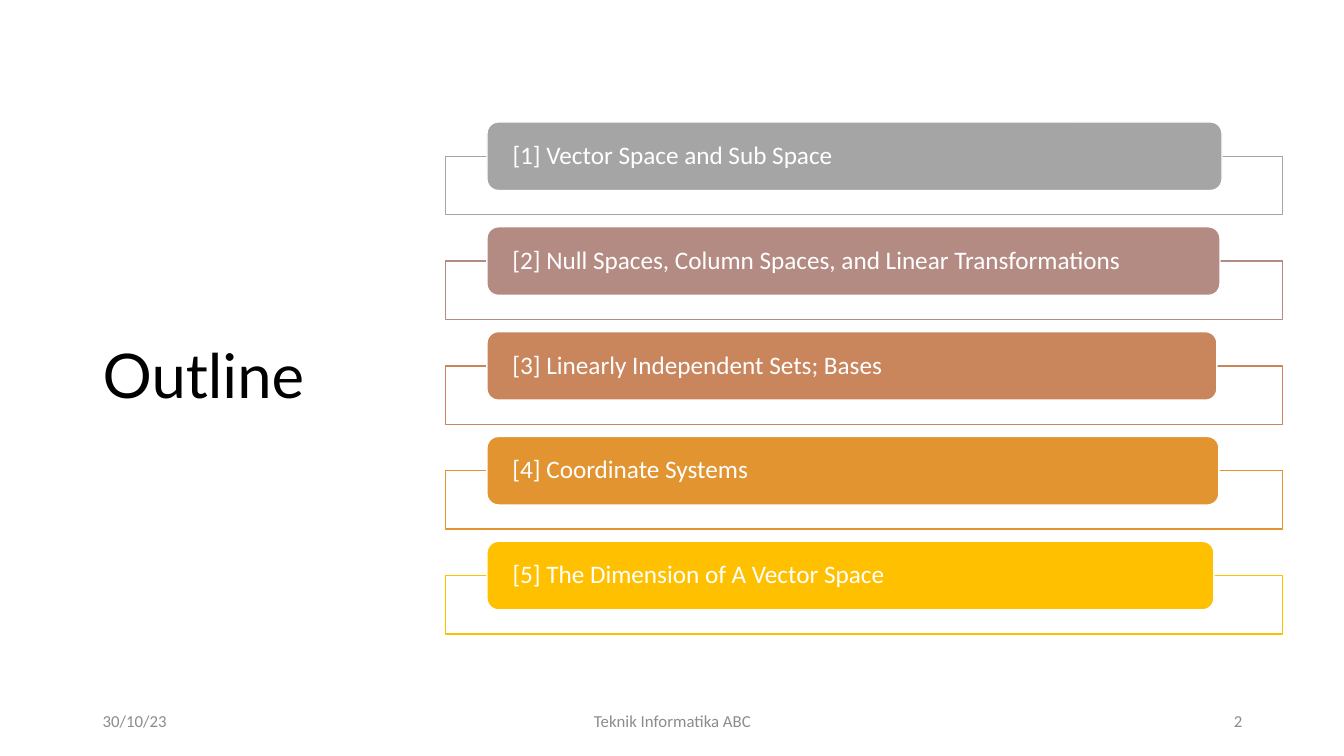
from lxml.etree import SubElement
from pptx import Presentation
from pptx.dml.color import RGBColor
from pptx.enum.shapes import MSO_SHAPE
from pptx.enum.text import MSO_ANCHOR, PP_ALIGN
from pptx.oxml.ns import qn
from pptx.util import Inches, Pt

BLACK = RGBColor(0x00, 0x00, 0x00)
WHITE = RGBColor(0xFF, 0xFF, 0xFF)
FOOTER_GRAY = RGBColor(0x8C, 0x8C, 0x8C)
GRAY = RGBColor(0xA5, 0xA5, 0xA5)
ROSE = RGBColor(0xB4, 0x8B, 0x83)
COPPER = RGBColor(0xC9, 0x85, 0x5C)
ORANGE = RGBColor(0xE1, 0x94, 0x30)
GOLD = RGBColor(0xFF, 0xC0, 0x00)

# Topic, colour and label width in inches
TOPICS = [
    ("[1] Vector Space and Sub Space", GRAY, 7.29),
    ("[2] Null Spaces, Column Spaces, and Linear Transformations", ROSE, 7.27),
    ("[3] Linearly Independent Sets; Bases", COPPER, 7.24),
    ("[4] Coordinate Systems", ORANGE, 7.26),
    ("[5] The Dimension of A Vector Space", GOLD, 7.21),
]
FIRST_TOP = 1.21
TOPIC_STEP = 1.04

# Footer text, left, width, alignment
FOOTERS = [
    ("30/10/23", 0.92, 3, PP_ALIGN.LEFT),
    ("Teknik Informatika ABC", 4.42, 4.5, PP_ALIGN.CENTER),
    ("2", 9.42, 3, PP_ALIGN.RIGHT),
]


def write_text(frame, text, size, color, font="Calibri", align=PP_ALIGN.LEFT,
               line_spacing=None, side_inset=0.1, end_inset=0.05):
    """Fill a text frame with one formatted paragraph."""
    frame.word_wrap = True
    frame.vertical_anchor = MSO_ANCHOR.MIDDLE
    frame.margin_left = frame.margin_right = Inches(side_inset)
    frame.margin_top = frame.margin_bottom = Inches(end_inset)
    paragraph = frame.paragraphs[0]
    paragraph.alignment = align
    paragraph.line_spacing = line_spacing
    run = paragraph.add_run()
    run.text = text
    run.font.size = Pt(size)
    run.font.name = font
    run.font.color.rgb = color


class OutlineSlide:
    """Holds the slide and the style shared by its elements."""

    line_width = Pt(1)

    def __init__(self, presentation):
        self.slide = presentation.slides.add_slide(presentation.slide_layouts[6])

    def text(self, box, text, **style):
        textbox = self.slide.shapes.add_textbox(*map(Inches, box))
        write_text(textbox.text_frame, text, **style)

    def shape(self, kind, box, fill, line, opacity=None):
        shape = self.slide.shapes.add_shape(kind, *map(Inches, box))
        shape.shadow.inherit = False
        shape.fill.solid()
        shape.fill.fore_color.rgb = fill
        shape.line.color.rgb = line
        shape.line.width = self.line_width
        if opacity is not None:
            color = shape.fill._xPr.find(qn("a:solidFill"))[0]
            SubElement(color, qn("a:alpha")).set("val", str(opacity * 1000))
        return shape

    def topic(self, top, text, color, width):
        self.shape(MSO_SHAPE.RECTANGLE, (4.42, top + 0.34, 8.3, 0.58),
                   WHITE, color, opacity=90)
        label = self.shape(MSO_SHAPE.ROUNDED_RECTANGLE, (4.83, top, width, 0.68),
                           color, WHITE)
        write_text(label.text_frame, text, size=18, color=WHITE,
                   line_spacing=0.9, side_inset=0.22, end_inset=0)


def main():
    presentation = Presentation()
    presentation.slide_width = Inches(13.33)
    presentation.slide_height = Inches(7.5)
    outline = OutlineSlide(presentation)

    # Title
    outline.text((0.92, 3.03, 11.5, 1.45), "Outline", size=44, color=BLACK,
                 font="Lato", line_spacing=0.9)

    # Topic list
    for index, (topic, color, width) in enumerate(TOPICS):
        outline.topic(FIRST_TOP + index * TOPIC_STEP, topic, color, width)

    # Footer
    for text, left, width, align in FOOTERS:
        outline.text((left, 6.95, width, 0.4), text, size=12,
                     color=FOOTER_GRAY, align=align)

    presentation.save("out.pptx")


if __name__ == "__main__":
    main()
